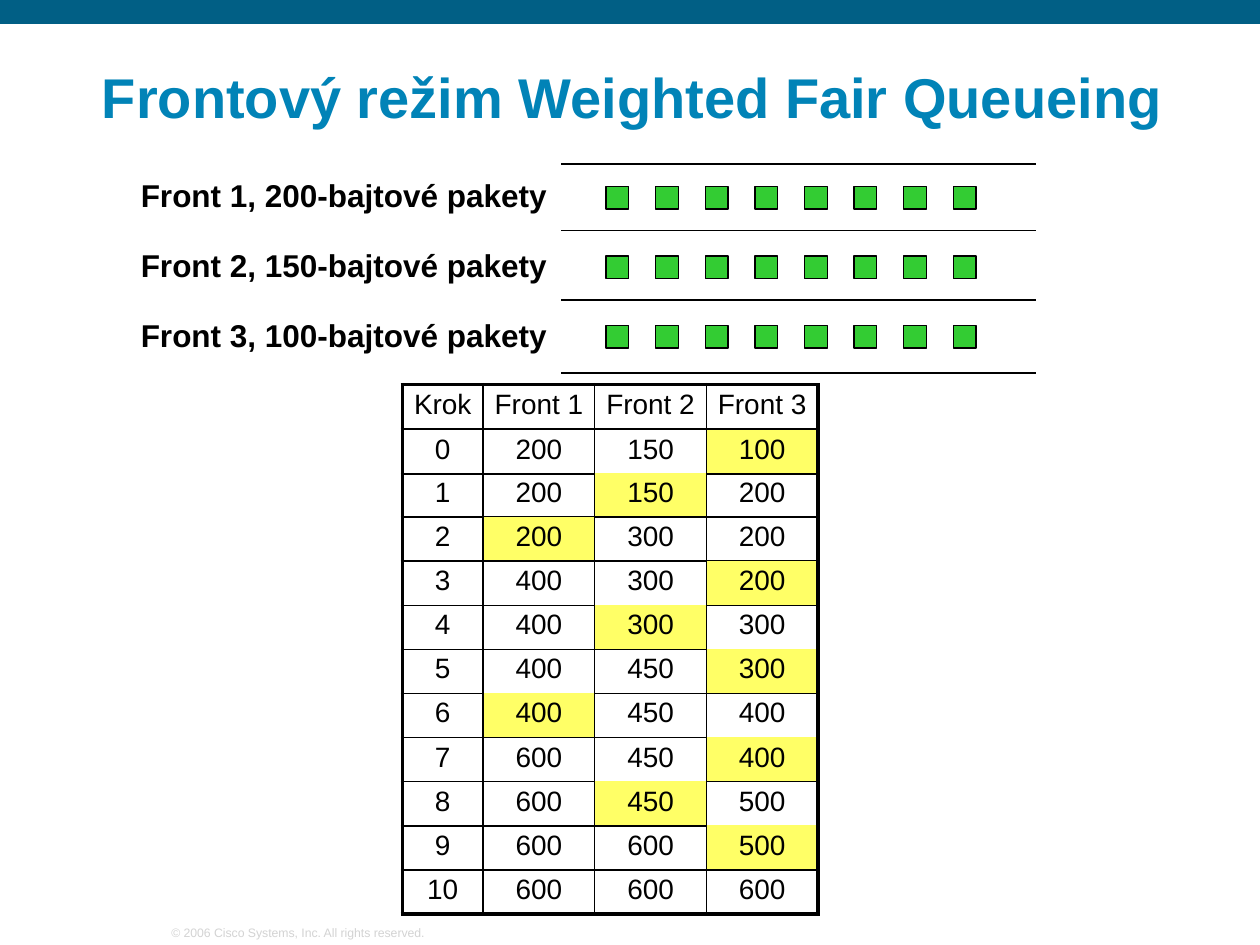
"""Weighted fair queueing slide: three packet queues and a table of steps."""
from lxml import etree
from pptx import Presentation
from pptx.dml.color import RGBColor
from pptx.enum.shapes import MSO_CONNECTOR, MSO_SHAPE
from pptx.enum.text import MSO_ANCHOR, MSO_AUTO_SIZE, PP_ALIGN
from pptx.oxml.ns import qn
from pptx.util import Pt

LINE, RECT = MSO_CONNECTOR.STRAIGHT, MSO_SHAPE.RECTANGLE
TOP, LOW = MSO_ANCHOR.TOP, MSO_ANCHOR.BOTTOM
LEFT, MID = PP_ALIGN.LEFT, PP_ALIGN.CENTER
NONE = MSO_AUTO_SIZE.NONE

BLACK = RGBColor(0x00, 0x00, 0x00)
NAVY = RGBColor(0x01, 0x5F, 0x85)
BLUE = RGBColor(0x01, 0x83, 0xB7)
GREEN = RGBColor(0x33, 0xCC, 0x33)
GOLD = RGBColor(0xFF, 0xFF, 0x66)
GRAY = RGBColor(0xD3, 0xD3, 0xD3)

THIN, THICK = 0.96, 2.21
COLS = (46.2, 63.8, 63.8, 63.8)
ROW = 25.5
STEP = 25.2
STEPS = [
    ("Krok", "Front 1", "Front 2", "Front 3"),
    ("0", "200", "150", "100"),
    ("1", "200", "150", "200"),
    ("2", "200", "300", "200"),
    ("3", "400", "300", "200"),
    ("4", "400", "300", "300"),
    ("5", "400", "450", "300"),
    ("6", "400", "450", "400"),
    ("7", "600", "450", "400"),
    ("8", "600", "450", "500"),
    ("9", "600", "600", "500"),
    ("10", "600", "600", "600"),
]
SENT = (None, 3, 2, 1, 3, 2, 3, 1, 3, 2, 3, None)


class Page:
    """Holds the slide and its font, and draws each kind of element."""

    def __init__(self, slide, font):
        self.slide = slide
        self.font = font

    def put(self, para, text, size, color, bold=False):
        """Add one styled run."""
        run = para.add_run()
        run.text = text
        font = run.font
        font.name, font.size, font.bold = self.font, Pt(size), bold
        font.color.rgb = color

    def frame(self, shape, wrap, anchor, pad):
        """Set up a text frame and return its first paragraph."""
        frame = shape.text_frame
        frame.auto_size, frame.word_wrap = NONE, wrap
        frame.vertical_anchor = anchor
        frame.margin_left = frame.margin_right = Pt(pad)
        frame.margin_top = frame.margin_bottom = Pt(pad / 2)
        para = frame.paragraphs[0]
        para.alignment = LEFT
        return para

    def title(self, text, x, y, w, h):
        """Fill the title placeholder."""
        shape = self.slide.shapes.title
        shape.left, shape.top, shape.width, shape.height = map(Pt, (x, y, w, h))
        para = self.frame(shape, True, LOW, 6.5)
        para.line_spacing = 0.9
        self.put(para, text, 32, BLUE, True)

    def label(self, text, x, y, w, h, size, color, bold=False, anchor=TOP):
        """Add a line of text."""
        box = self.slide.shapes.add_textbox(*map(Pt, (x, y, w, h)))
        para = self.frame(box, False, anchor, 7.2 if bold else 6.5)
        self.put(para, text, size, color, bold)

    def rect(self, x, y, w, h, fill, edge=None):
        """Add a filled rectangle."""
        shape = self.slide.shapes.add_shape(RECT, *map(Pt, (x, y, w, h)))
        shape.shadow.inherit = False
        shape.fill.solid()
        shape.fill.fore_color.rgb = fill
        if edge is None:
            shape.line.fill.background()
        else:
            shape.line.color.rgb = edge
            shape.line.width = Pt(0.75)

    def rule(self, x, y, w):
        """Add a level line."""
        line = self.slide.shapes.add_connector(LINE, *map(Pt, (x, y, x + w, y)))
        line.line.color.rgb = BLACK
        line.line.width = Pt(1)
        props = line._element.spPr
        etree.SubElement(props, qn("a:effectLst"))

    def edges(self, cell, sides):
        """Draw the four borders of a cell; zero means none."""
        props = cell._tc.get_or_add_tcPr()
        for side, width in zip("LRTB", sides):
            line = etree.SubElement(props, qn("a:ln" + side), w=str(Pt(width)))
            if width:
                fill = etree.SubElement(line, qn("a:solidFill"))
                etree.SubElement(fill, qn("a:srgbClr"), val=str(BLACK))
            else:
                etree.SubElement(line, qn("a:noFill"))

    def table(self, x, y, first, last):
        """Add a table of the steps from first up to last."""
        count = last - first
        box = (x, y, sum(COLS), ROW * count)
        table = self.slide.shapes.add_table(count, len(COLS), *map(Pt, box)).table
        table.first_row = table.horz_banding = False
        for col, width in zip(table.columns, COLS):
            col.width = Pt(width)
        for i in range(count):
            num = first + i
            table.rows[i].height = Pt(ROW)
            top = THIN if i else 0 if first else THICK
            low = THICK if num == len(STEPS) - 1 else THIN
            for j, text in enumerate(STEPS[num]):
                cell = table.cell(i, j)
                cell.margin_left = cell.margin_right = Pt(6.5)
                cell.margin_top = cell.margin_bottom = Pt(3.6)
                left = THICK if j == 0 else THIN
                right = THICK if j == len(COLS) - 1 else THIN
                self.edges(cell, (left, right, top, low))
                if SENT[num] == j:
                    cell.fill.solid()
                    cell.fill.fore_color.rgb = GOLD
                else:
                    cell.fill.background()
                para = cell.text_frame.paragraphs[0]
                para.alignment, para.line_spacing = MID, 0.95
                self.put(para, text, 16, BLACK)


def main():
    """Build and save the slide."""
    deck = Presentation()
    deck.slide_width, deck.slide_height = Pt(720), Pt(540)
    page = Page(deck.slides.add_slide(deck.slide_layouts[5]), "Arial")

    page.rect(0, 0, 720, 13.7, NAVY)
    page.label("© 2006 Cisco Systems, Inc. All rights reserved.",
               91.4, 525.6, 157, 15, 7, GRAY, anchor=LOW)
    page.title("Frontový režim Weighted Fair Queueing", 51.8, 23.8, 641.5, 54)

    for y in (93.6, 131.8, 171.4, 213.1):
        page.rule(320.6, y, 271.5)
    for i, size in enumerate((200, 150, 100)):
        page.label(f"Front {i + 1}, {size}-bajtové pakety",
                   73.4, 97.2 + 39.9 * i, 244.8, 28.8, 18, BLACK, True)
        for j in range(8):
            page.rect(346.3 + 28.35 * j, 106.5 + 39.7 * i, 13, 13, GREEN, BLACK)

    page.table(229.9, 219.8, 0, 2)
    for num in range(2, len(STEPS)):
        page.table(229.9, 270 + STEP * (num - 2), num, num + 1)
    deck.save("out.pptx")


if __name__ == "__main__":
    main()
